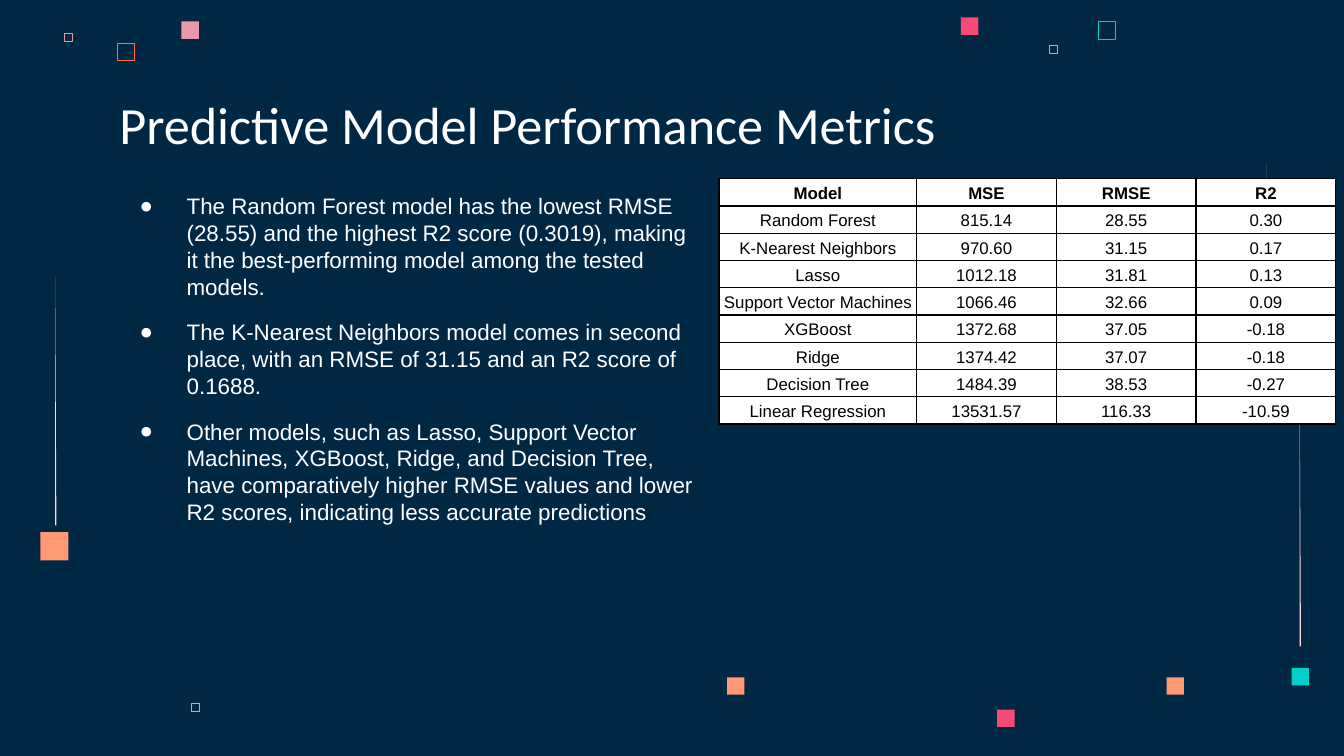
from lxml.etree import SubElement
from pptx import Presentation
from pptx.dml.color import RGBColor
from pptx.enum.shapes import MSO_SHAPE as Preset
from pptx.enum.text import MSO_ANCHOR as Anchor, PP_ALIGN as Align
from pptx.oxml.ns import qn
from pptx.util import Inches, Pt

SLIDE_WIDTH = 10
SLIDE_HEIGHT = SLIDE_WIDTH * 9 / 16

COLORS = {
    "navy": "002845", "white": "FFFFFF", "black": "000000", "blush": "FFD6E1",
    "peach": "FF9973", "orange": "FC723F", "teal": "00CFCC",
    "pink": "F64975", "rose": "E898AC",
}

LARGE, MEDIUM, SMALL = 0.21, 0.13, 0.06
FILLED_SQUARES = [  # left, top, size, color
    (0.3, 3.96, LARGE, "peach"), (9.61, 4.97, MEDIUM, "teal"),
    (5.41, 5.04, MEDIUM, "peach"), (7.42, 5.28, MEDIUM, "pink"),
    (8.68, 5.04, MEDIUM, "peach"), (7.15, 0.13, MEDIUM, "pink"),
    (1.35, 0.16, MEDIUM, "rose"),
]
OUTLINED_SQUARES = [
    (8.17, 0.16, MEDIUM, "teal"), (1.42, 5.23, SMALL, "rose"),
    (7.81, 0.34, SMALL, "rose"), (0.48, 0.25, SMALL, "rose"),
    (0.87, 0.32, MEDIUM, "orange"),
]
STEMS = [(0.41, 2.06, 1.85), (9.42, 1.22, 1.11), (9.67, 2.96, 1.85)]  # left, top, height

TITLE = "Predictive Model Performance Metrics"
FINDINGS = [
    "The Random Forest model has the lowest RMSE (28.55) and the highest R2 score "
    "(0.3019), making it the best-performing model among the tested models.",
    "The K-Nearest Neighbors model comes in second place, with an RMSE of 31.15 "
    "and an R2 score of 0.1688.",
    "Other models, such as Lasso, Support Vector Machines, XGBoost, Ridge, and "
    "Decision Tree, have comparatively higher RMSE values and lower R2 scores, "
    "indicating less accurate predictions",
]
METRICS = [
    ("Model", "MSE", "RMSE", "R2"),
    ("Random Forest", "815.14", "28.55", "0.30"),
    ("K-Nearest Neighbors", "970.60", "31.15", "0.17"),
    ("Lasso", "1012.18", "31.81", "0.13"),
    ("Support Vector Machines", "1066.46", "32.66", "0.09"),
    ("XGBoost", "1372.68", "37.05", "-0.18"),
    ("Ridge", "1374.42", "37.07", "-0.18"),
    ("Decision Tree", "1484.39", "38.53", "-0.27"),
    ("Linear Regression", "13531.57", "116.33", "-10.59"),
]
COLUMN_WIDTHS = [1.47, 1.04, 1.04, 1.04]
ROW_HEIGHT = 0.2


def rgb(color):
    return RGBColor.from_string(COLORS[color])


def set_font(paragraph, name, size, color, bold=False):
    font = paragraph.font
    font.name, font.size, font.bold = name, Pt(size), bold
    font.color.rgb = rgb(color)


def paint(shape, color):
    shape.shadow.inherit = False
    shape.fill.solid()
    shape.fill.fore_color.rgb = rgb(color)
    shape.line.fill.background()


def add_square(slide, left, top, size, color, filled):
    square = slide.shapes.add_shape(
        Preset.RECTANGLE, Inches(left), Inches(top), Inches(size), Inches(size))
    paint(square, color)
    if not filled:
        square.fill.background()
        square.line.color.rgb = rgb(color)
        square.line.width = Pt(0.23)


def add_stem(slide, left, top, height):
    """Draw a sliver that tapers to a point at its top."""
    bottom = Inches(top + height)
    outline = slide.shapes.build_freeform(Inches(left), Inches(top))
    outline.add_line_segments([(Inches(left), bottom), (Inches(left + 0.01), bottom)])
    paint(outline.convert_to_shape(), "blush")


def add_text_frame(slide, left, top, width, height):
    frame = slide.shapes.add_textbox(
        Inches(left), Inches(top), Inches(width), Inches(height)).text_frame
    frame.word_wrap = True
    frame.margin_left = frame.margin_right = Inches(0.1)
    frame.margin_top = frame.margin_bottom = Inches(0.1)
    return frame


def add_title(slide):
    heading = add_text_frame(slide, 0.79, 0.59, 8.43, 0.63).paragraphs[0]
    heading.text = TITLE
    set_font(heading, "Calibri", 28, "white")


def add_bullet(paragraph):
    properties = paragraph._p.get_or_add_pPr()
    properties.set("marL", str(Inches(0.5)))
    properties.set("indent", str(Inches(-0.35)))
    bullet_color = SubElement(properties, qn("a:buClr"))
    SubElement(bullet_color, qn("a:srgbClr"), val=COLORS["white"])
    SubElement(properties, qn("a:buFont"), typeface="Arial")
    SubElement(properties, qn("a:buChar"), char="●")


def add_findings(slide):
    frame = add_text_frame(slide, 0.79, 1.33, 4.51, 3.44)
    for index, finding in enumerate(FINDINGS):
        paragraph = frame.add_paragraph() if index else frame.paragraphs[0]
        paragraph.text = finding
        paragraph.space_before = Pt(10 if index else 0)
        add_bullet(paragraph)
        set_font(paragraph, "Arial", 12, "white")
    paragraph.space_after = Pt(10)


def add_borders(cell):
    properties = cell._tc.get_or_add_tcPr()
    for side in ("lnL", "lnR", "lnT", "lnB"):
        border = SubElement(properties, qn(f"a:{side}"), w=str(Pt(0.75)))
        line_fill = SubElement(border, qn("a:solidFill"))
        SubElement(line_fill, qn("a:srgbClr"), val=COLORS["black"])


def fill_cell(cell, value, bold):
    cell.margin_left = cell.margin_right = Inches(0.03)
    cell.margin_top, cell.margin_bottom = Inches(0.01), Inches(0.02)
    cell.vertical_anchor = Anchor.BOTTOM
    add_borders(cell)
    cell.fill.solid()
    cell.fill.fore_color.rgb = rgb("white")
    paragraph = cell.text_frame.paragraphs[0]
    paragraph.text = value
    paragraph.alignment = Align.CENTER
    paragraph.line_spacing = 1.15
    set_font(paragraph, "Arial", 9, "black", bold)


def add_metrics_table(slide):
    table = slide.shapes.add_table(
        len(METRICS), len(COLUMN_WIDTHS), Inches(5.35), Inches(1.33),
        Inches(sum(COLUMN_WIDTHS)), Inches(ROW_HEIGHT * len(METRICS))).table
    table.first_row = table.horz_banding = False
    for column, width in zip(table.columns, COLUMN_WIDTHS):
        column.width = Inches(width)
    for row_index, values in enumerate(METRICS):
        for column_index, value in enumerate(values):
            fill_cell(table.cell(row_index, column_index), value, bold=row_index == 0)


def main():
    deck = Presentation()
    deck.slide_width, deck.slide_height = Inches(SLIDE_WIDTH), Inches(SLIDE_HEIGHT)
    slide = deck.slides.add_slide(deck.slide_layouts[6])
    slide.background.fill.solid()
    slide.background.fill.fore_color.rgb = rgb("navy")
    for stem in STEMS:
        add_stem(slide, *stem)
    for square in FILLED_SQUARES:
        add_square(slide, *square, filled=True)
    for square in OUTLINED_SQUARES:
        add_square(slide, *square, filled=False)
    add_title(slide)
    add_findings(slide)
    add_metrics_table(slide)
    deck.save("out.pptx")


if __name__ == "__main__":
    main()
